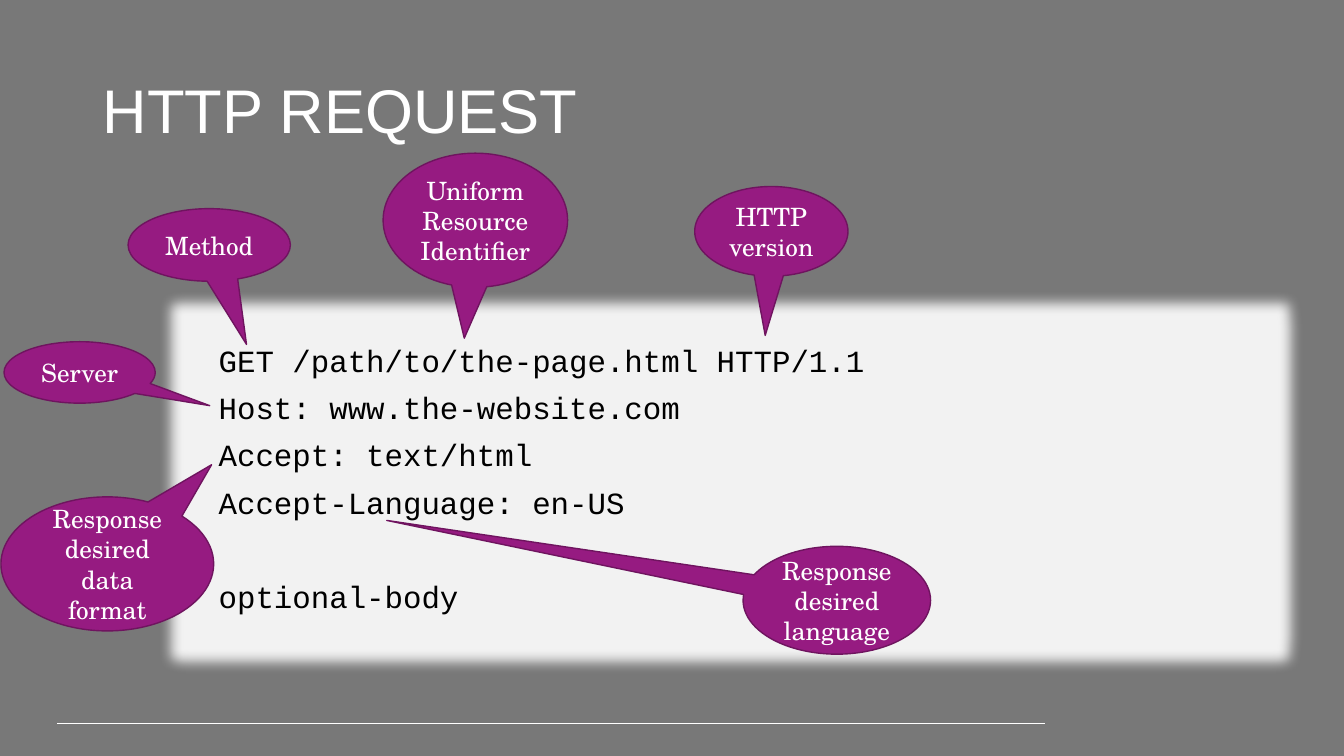
from typing import NamedTuple

from lxml.etree import SubElement
from pptx import Presentation
from pptx.dml.color import RGBColor
from pptx.enum.shapes import MSO_CONNECTOR, MSO_SHAPE
from pptx.enum.text import MSO_ANCHOR, PP_ALIGN
from pptx.oxml.ns import qn
from pptx.util import Inches, Pt


class Callout(NamedTuple):
    text: str
    left: float
    top: float
    width: float
    height: float
    tip_x: float
    tip_y: float


CALLOUTS = [
    Callout("Method", 1.27, 2.07, 1.61, 0.72, 0.23, 1.37),
    Callout("Server", 0.04, 3.39, 1.5, 0.61, 0.86, 0.54),
    Callout("Uniform Resource Identifier", 3.8, 1.52, 1.83, 1.33, -0.06, 0.88),
    Callout("HTTP version", 6.89, 1.85, 1.52, 0.89, -0.04, 1.16),
    Callout("Response desired data format", 0.01, 4.93, 2.11, 1.33, 0.49, -0.74),
    Callout("Response desired language", 7.37, 5.42, 1.86, 1.07, -2.4, -0.74),
]
HEADER_LINES = [
    "GET /path/to/the-page.html HTTP/1.1",
    "Host: www.the-website.com",
    "Accept: text/html",
    "Accept-Language: en-US",
]
BODY_LINE = "optional-body"
LINE_GAP, BODY_GAP = 10, 44
PANEL = "F2F2F2"
WHITE = "FFFFFF"


def color(value: str) -> RGBColor:
    return RGBColor.from_string(value)


def format_paragraph(paragraph, font: dict, font_color: str, **layout) -> None:
    for target, values in ((paragraph, layout), (paragraph.font, font)):
        for name, value in values.items():
            setattr(target, name, value)
    paragraph.font.color.rgb = color(font_color)


def add_filled(slide, preset, box: tuple, fill: str):
    shape = slide.shapes.add_shape(preset, *map(Inches, box))
    shape.shadow.inherit = False
    shape.fill.solid()
    shape.fill.fore_color.rgb = color(fill)
    return shape


def add_title(slide) -> None:
    title = slide.shapes.title
    title.left, title.top, title.width, title.height = map(Inches, (0.92, 0.4, 11.5, 1.45))
    title.text_frame.text = "HTTP REQUEST"
    title.text_frame.vertical_anchor = MSO_ANCHOR.MIDDLE
    format_paragraph(title.text_frame.paragraphs[0], {"name": "Arial", "size": Pt(44)}, WHITE,
                     alignment=PP_ALIGN.LEFT, line_spacing=0.9)


def add_footer_rule(slide) -> None:
    rule = slide.shapes.add_connector(MSO_CONNECTOR.STRAIGHT, *map(Inches, (0.57, 7.18, 10.36, 7.18)))
    rule.line.color.rgb = color(WHITE)
    rule.line.width = Pt(0.75)
    SubElement(rule._element.spPr, qn("a:effectLst"))


def add_request(slide) -> None:
    """Draw the request code on a panel with a glow of its own colour."""
    panel = add_filled(slide, MSO_SHAPE.RECTANGLE, (2.07, 3.38, 10.35, 2.8), PANEL)
    panel.line.fill.background()
    effects = panel._element.spPr.find(qn("a:effectLst"))
    glow = SubElement(effects, qn("a:glow"), rad=str(Inches(0.25)))
    SubElement(glow, qn("a:srgbClr"), val=PANEL)

    frame = panel.text_frame
    frame.vertical_anchor = MSO_ANCHOR.TOP
    frame.text = "\n".join([*HEADER_LINES, BODY_LINE])
    gaps = [0] + [LINE_GAP] * (len(HEADER_LINES) - 1) + [BODY_GAP]
    for paragraph, gap in zip(frame.paragraphs, gaps):
        format_paragraph(paragraph, {"name": "Courier New", "size": Pt(22)}, "000000",
                         alignment=PP_ALIGN.LEFT, line_spacing=0.9, space_before=Pt(gap))


def add_callout(slide, callout: Callout) -> None:
    box = (callout.left, callout.top, callout.width, callout.height)
    bubble = add_filled(slide, MSO_SHAPE.OVAL_CALLOUT, box, "961B81")
    bubble.adjustments[0] = callout.tip_x
    bubble.adjustments[1] = callout.tip_y
    bubble.line.color.rgb = color("6F145F")
    bubble.line.width = Pt(1)
    bubble.text_frame.text = callout.text
    bubble.text_frame.vertical_anchor = MSO_ANCHOR.MIDDLE
    format_paragraph(bubble.text_frame.paragraphs[0], {"name": "TeX Gyre Schola", "size": Pt(18)}, WHITE,
                     alignment=PP_ALIGN.CENTER)


def main() -> None:
    deck = Presentation()
    deck.slide_width, deck.slide_height = Inches(13.33), Inches(7.5)
    slide = deck.slides.add_slide(deck.slide_layouts.get_by_name("Title Only"))
    slide.background.fill.solid()
    slide.background.fill.fore_color.rgb = color("787878")

    add_footer_rule(slide)
    add_title(slide)
    add_request(slide)
    for callout in CALLOUTS:
        add_callout(slide, callout)
    deck.save("out.pptx")


if __name__ == "__main__":
    main()
